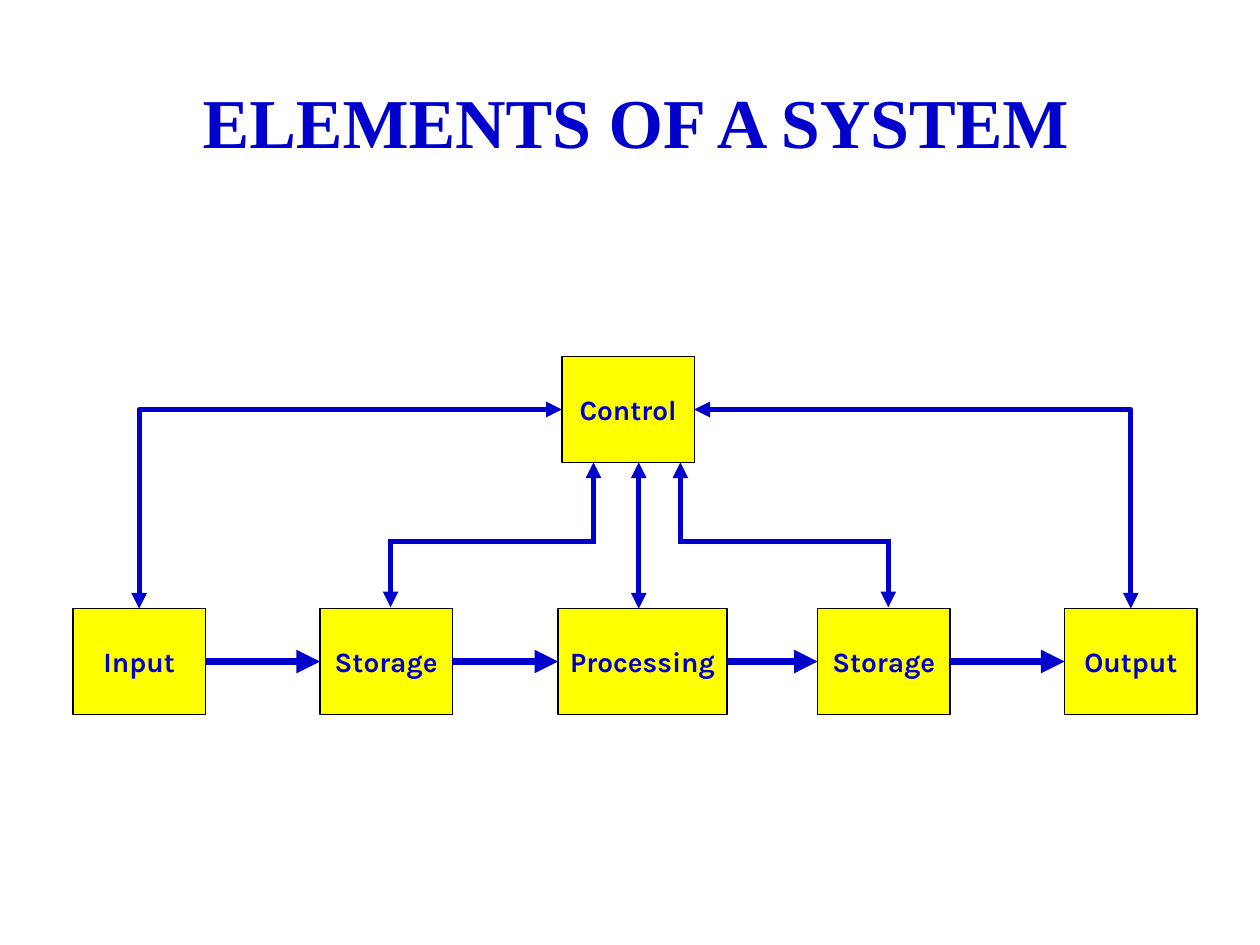
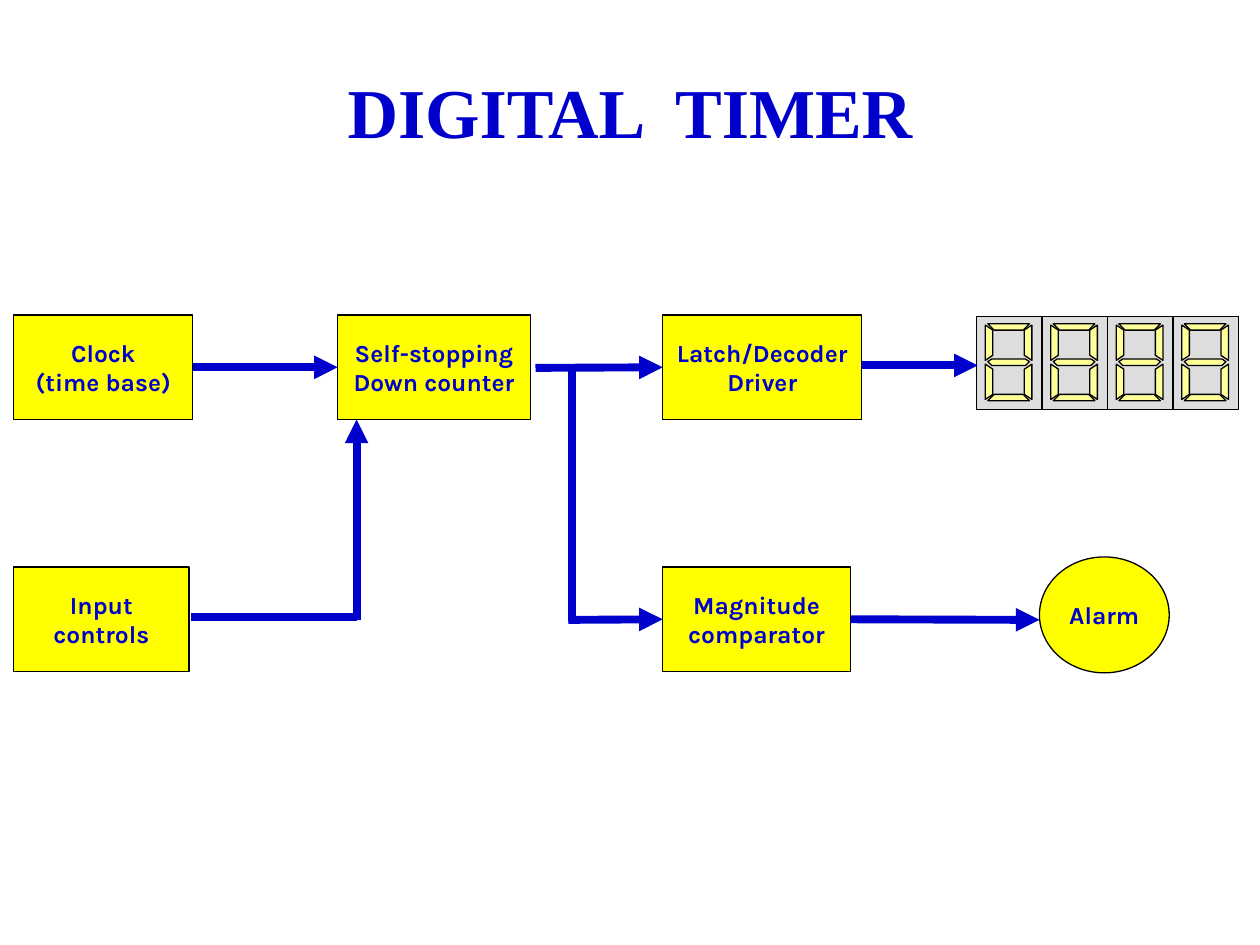
from pptx import Presentation
from pptx.dml.color import RGBColor
from pptx.enum.shapes import MSO_CONNECTOR, MSO_SHAPE
from pptx.enum.text import MSO_ANCHOR, MSO_AUTO_SIZE, PP_ALIGN
from pptx.oxml.ns import qn
from pptx.oxml.xmlchemy import OxmlElement
from pptx.util import Inches, Pt

BLUE = "0000CC"
YELLOW = "FFFF00"
PALE = "FFFF99"
GRAY = "DDDDDD"
BLACK = "000000"
TOP, LEFT, BOTTOM, RIGHT = range(4)


def color(code):
    return RGBColor.from_string(code)


def write(frame, text, size=16, font="Karla", ink=BLUE, bold=True, wrap=False):
    frame.auto_size = MSO_AUTO_SIZE.NONE
    frame.word_wrap = wrap
    frame.vertical_anchor = MSO_ANCHOR.MIDDLE
    frame.text = text
    for para in frame.paragraphs:
        para.alignment = PP_ALIGN.CENTER
        para.font.size = Pt(size)
        para.font.name = font
        para.font.bold = bold
        para.font.color.rgb = color(ink)


class Deck:
    def __init__(self):
        self.show = Presentation()
        self.show.slide_width = Inches(10)
        self.show.slide_height = Inches(7.5)
        self.slide = None
        self.size = 16

    def start(self, title, left, top, width, height, size):
        self.slide = self.show.slides.add_slide(self.show.slide_layouts[5])
        self.size = size
        head = self.slide.shapes.title
        head.left, head.top = Inches(left), Inches(top)
        head.width, head.height = Inches(width), Inches(height)
        write(head.text_frame, title, size=40, font="Times New Roman", wrap=True)

    def paint(self, shape, fill):
        shape.shadow.inherit = False
        shape.fill.solid()
        shape.fill.fore_color.rgb = color(fill)
        shape.line.color.rgb = color(BLACK)
        shape.line.width = Pt(0.75)

    def box(self, text, left, top, width, height, fill=YELLOW, kind=MSO_SHAPE.RECTANGLE):
        shape = self.slide.shapes.add_shape(
            kind, Inches(left), Inches(top), Inches(width), Inches(height))
        self.paint(shape, fill)
        if text:
            write(shape.text_frame, text, size=self.size)
        return shape

    def line(self, start, end, width=4.5, head=False, tail=True, bent=False):
        joins = [not isinstance(spot[0], (int, float)) for spot in (start, end)]
        spots = [(0, 0) if join else spot for join, spot in zip(joins, (start, end))]
        kind = MSO_CONNECTOR.ELBOW if bent else MSO_CONNECTOR.STRAIGHT
        link = self.slide.shapes.add_connector(
            kind, *[Inches(value) for spot in spots for value in spot])
        if joins[0]:
            link.begin_connect(*start)
        if joins[1]:
            link.end_connect(*end)
        link.line.color.rgb = color(BLUE)
        link.line.width = Pt(width)
        props = link._element.spPr
        if bent:
            props.find(qn("a:prstGeom")).set("prst", "bentConnector2")
        for tag, shown in (("a:headEnd", head), ("a:tailEnd", tail)):
            if shown:
                tip = OxmlElement(tag)
                tip.set("type", "triangle")
                props.find(qn("a:ln")).append(tip)
        props.append(OxmlElement("a:effectLst"))

    def bar(self, points, left, top):
        spots = [(Inches(left + x), Inches(top + y)) for x, y in points]
        pen = self.slide.shapes.build_freeform(*spots[0], scale=1.0)
        pen.add_line_segments(spots[1:], close=True)
        self.paint(pen.convert_to_shape(), PALE)

    def digit(self, left, top):
        self.box("", left, top, 0.52, 0.74, fill=GRAY)
        side = [(0.07, 0.07), (0.07, 0.35), (0.13, 0.31), (0.13, 0.11)]
        cap = [(0.09, 0.06), (0.42, 0.06), (0.37, 0.11), (0.14, 0.11)]
        middle = [(0.12, 0.39), (0.39, 0.39), (0.42, 0.36),
                  (0.39, 0.34), (0.12, 0.34), (0.09, 0.36)]
        right = [(0.51 - x, y) for x, y in side]
        for shape in (side, right, cap):
            self.bar(shape, left, top)
            self.bar([(x, 0.73 - y) for x, y in shape], left, top)
        self.bar(middle, left, top)


def system(deck):
    deck.start("ELEMENTS OF A SYSTEM", 1.17, 0.58, 7.75, 0.75, 16)
    control = deck.box("Control", 4.46, 2.83, 1.05, 0.84)
    steps = [("Input", 0.58, 1.05), ("Storage", 2.54, 1.05), ("Processing", 4.43, 1.34),
             ("Storage", 6.49, 1.05), ("Output", 8.45, 1.05)]
    row = [deck.box(text, left, 4.83, width, 0.84) for text, left, width in steps]
    for first, second in zip(row, row[1:]):
        deck.line((first, RIGHT), (second, LEFT))
    for side, step in ((LEFT, row[0]), (RIGHT, row[-1])):
        deck.line((control, side), (step, TOP), width=3, head=True, bent=True)
    deck.line((5.07, 3.67), (5.07, 4.83), width=3, head=True)
    for store, port, edge in ((3.1, 4.71, 4.73), (7.05, 5.4, 5.38)):
        deck.line((store, 4.28), (store, 4.82), width=3)
        deck.line((store, 4.3), (edge, 4.3), width=3, tail=False)
        deck.line((port, 4.3), (port, 3.67), width=3)


def timer(deck):
    deck.start("DIGITAL  TIMER", 2.5, 0.42, 5, 0.92, 14)
    high, low, tall = 2.5, 4.5, 0.83
    clock = deck.box("Clock\n(time base)", 0.11, high, 1.42, tall)
    deck.box("Input\ncontrols", 0.11, low, 1.39, tall)
    count = deck.box("Self-stopping\nDown counter", 2.68, high, 1.53, tall)
    latch = deck.box("Latch/Decoder\nDriver", 5.26, high, 1.58, tall)
    match = deck.box("Magnitude\ncomparator", 5.26, low, 1.49, tall)
    deck.box("Alarm", 8.25, 4.42, 1.03, 0.92, kind=MSO_SHAPE.OVAL)
    for place in range(4):
        deck.digit(7.75 + place * 0.52, 2.51)
    deck.line((clock, RIGHT), (count, LEFT))
    deck.line((4.25, 2.92), (latch, LEFT))
    deck.line((6.83, 2.9), (7.76, 2.9))
    deck.line((4.54, 2.92), (4.54, 4.92), tail=False)
    deck.line((4.51, 4.92), (match, LEFT))
    deck.line((match, RIGHT), (8.25, 4.92))
    deck.line((1.52, 4.9), (2.83, 4.9), tail=False)
    deck.line((2.83, 4.92), (2.83, 3.33))


def main():
    deck = Deck()
    system(deck)
    timer(deck)
    deck.show.save("out.pptx")


if __name__ == "__main__":
    main()
